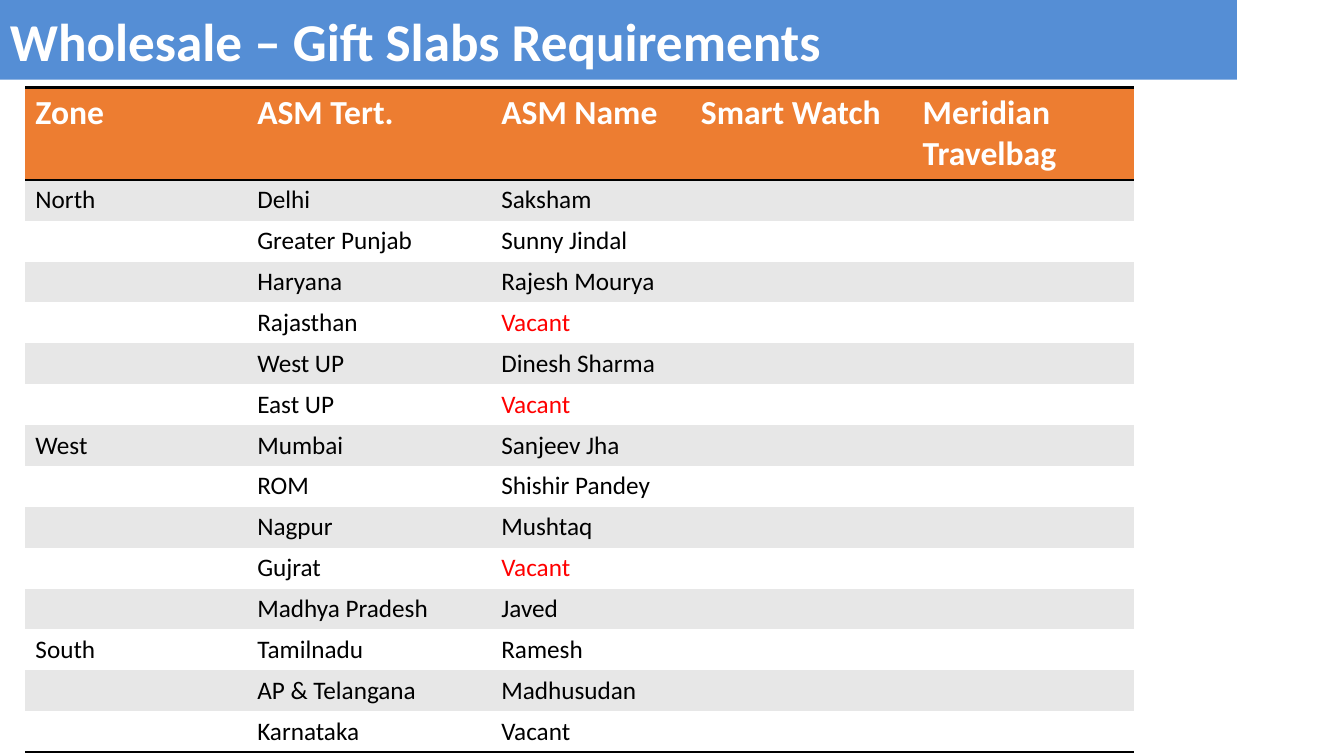
from lxml import etree
from pptx import Presentation
from pptx.dml.color import RGBColor
from pptx.enum.shapes import MSO_SHAPE
from pptx.enum.text import MSO_ANCHOR, PP_ALIGN
from pptx.oxml.ns import qn
from pptx.util import Cm, Pt

RECTANGLE = MSO_SHAPE.RECTANGLE
MIDDLE = MSO_ANCHOR.MIDDLE
LEFT = PP_ALIGN.LEFT

TITLE = "Wholesale – Gift Slabs Requirements"
HEADINGS = ("Zone", "ASM Tert.", "ASM Name", "Smart Watch", "Meridian Travelbag")
ZONES = {
    "North": [
        ("Delhi", "Saksham"),
        ("Greater Punjab", "Sunny Jindal"),
        ("Haryana", "Rajesh Mourya"),
        ("Rajasthan", "Vacant"),
        ("West UP", "Dinesh Sharma"),
        ("East UP", "Vacant"),
    ],
    "West": [
        ("Mumbai", "Sanjeev Jha"),
        ("ROM", "Shishir Pandey"),
        ("Nagpur", "Mushtaq"),
        ("Gujrat", "Vacant"),
        ("Madhya Pradesh", "Javed"),
    ],
    "South": [
        ("Tamilnadu", "Ramesh"),
        ("AP & Telangana", "Madhusudan"),
        ("Karnataka", "Vacant"),
    ],
}
RED_VACANCIES = {"Rajasthan", "East UP", "Gujrat"}

COLORS = {
    "banner": "558ED5",
    "header": "ED7D31",
    "band": "E7E7E7",
    "white": "FFFFFF",
    "black": "000000",
    "red": "FF0000",
}
FORMATS = {
    "title": {"name": "Calibri", "size": Pt(38), "bold": True},
    "header": {"name": "Calibri", "size": Pt(24), "bold": True},
    "body": {"name": "Calibri", "size": Pt(18), "bold": False},
}
COLUMN_WIDTHS = (5.59, 6.15, 5.03, 5.59, 5.59)
HEADER_HEIGHT, ROW_HEIGHT = 1.98, 0.94
NO_GRID_STYLE = "{2D5ABB26-0587-4C30-8999-92F81FD0307C}"


def rgb(color):
    return RGBColor.from_string(COLORS[color])


def set_fill(target, color):
    target.fill.solid()
    target.fill.fore_color.rgb = rgb(color)


def write_text(frame, text, style, color):
    para = frame.paragraphs[0]
    para.alignment = LEFT
    span = para.add_run() if text else para
    if text:
        span.text = text
    for attribute, value in FORMATS[style].items():
        setattr(span.font, attribute, value)
    span.font.color.rgb = rgb(color)


def add_border(cell, side):
    properties = cell._tc.get_or_add_tcPr()
    line = etree.Element(qn(f"a:{side}"), w=str(Pt(2)))
    solid = etree.SubElement(line, qn("a:solidFill"))
    etree.SubElement(solid, qn("a:srgbClr"), val=COLORS["black"])
    properties.insert(0, line)


def add_banner(page):
    banner = page.shapes.add_shape(RECTANGLE, 0, 0, Cm(31.17), Cm(2.01))
    banner.shadow.inherit = False
    set_fill(banner, "banner")
    banner.line.fill.background()
    banner.text_frame.word_wrap = True
    banner.text_frame.vertical_anchor = MIDDLE
    write_text(banner.text_frame, TITLE, "title", "white")


def add_zone_table(page):
    rows = [HEADINGS]
    for zone, areas in ZONES.items():
        for index, (area, manager) in enumerate(areas):
            rows.append((zone if index == 0 else "", area, manager, "", ""))
    last = len(rows) - 1
    heights = [HEADER_HEIGHT] + [ROW_HEIGHT] * last
    frame = page.shapes.add_table(
        len(rows), len(HEADINGS), Cm(0.64), Cm(2.21),
        Cm(sum(COLUMN_WIDTHS)), Cm(sum(heights)),
    )
    table = frame.table
    table.first_row = False
    table.horz_banding = False
    table._tbl.tblPr.find(qn("a:tableStyleId")).text = NO_GRID_STYLE
    for column, width in zip(table.columns, COLUMN_WIDTHS):
        column.width = Cm(width)

    for index, values in enumerate(rows):
        table.rows[index].height = Cm(heights[index])
        heading = index == 0
        fill = "header" if heading else "band" if index % 2 else "white"
        style = "header" if heading else "body"
        for cell, text in zip(table.rows[index].cells, values):
            vacant = text == "Vacant" and values[1] in RED_VACANCIES
            color = "white" if heading else "red" if vacant else "black"
            set_fill(cell, fill)
            write_text(cell.text_frame, text, style, color)
            if index in (0, last):
                add_border(cell, "lnB")
            if heading:
                add_border(cell, "lnT")


def main():
    deck = Presentation()
    deck.slide_width, deck.slide_height = Cm(33.87), Cm(19.05)
    page = deck.slides.add_slide(deck.slide_layouts[6])
    add_banner(page)
    add_zone_table(page)
    deck.save("out.pptx")


if __name__ == "__main__":
    main()
